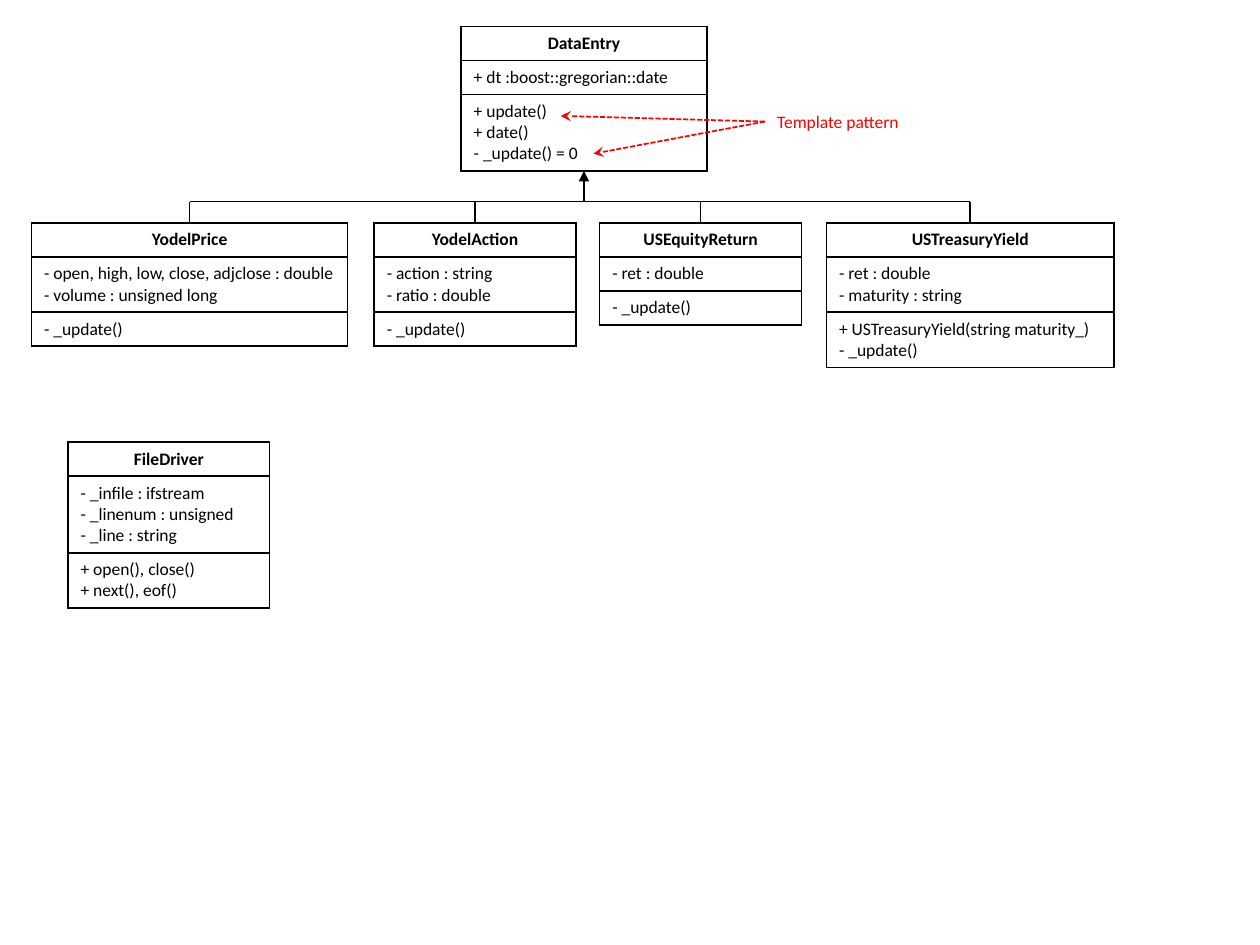
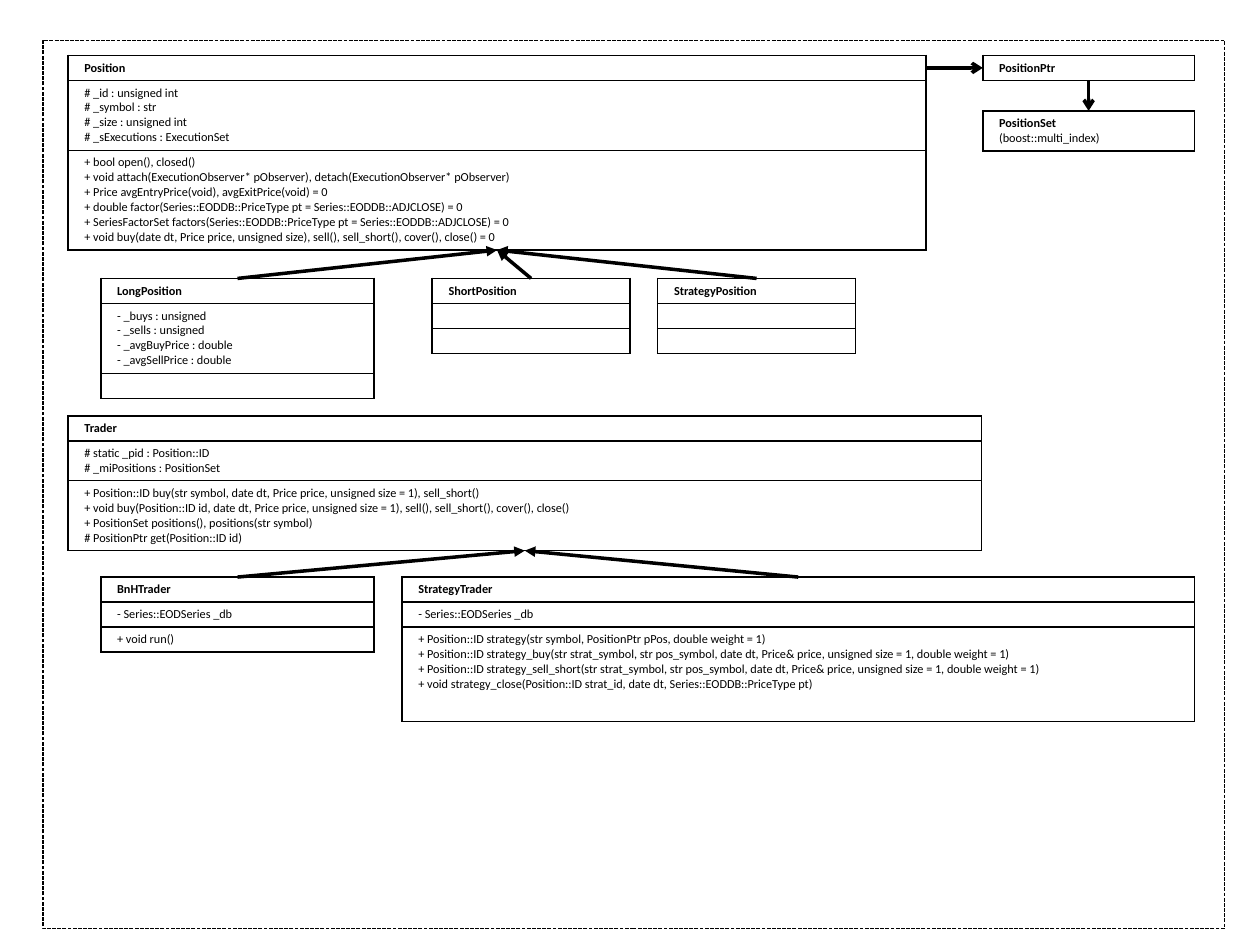
from dataclasses import dataclass

from lxml.etree import SubElement
from pptx import Presentation
from pptx.dml.color import RGBColor
from pptx.enum.dml import MSO_LINE
from pptx.enum.shapes import MSO_CONNECTOR, MSO_SHAPE
from pptx.enum.text import MSO_AUTO_SIZE, PP_ALIGN
from pptx.oxml.ns import qn
from pptx.util import Inches, Pt


@dataclass(frozen=True)
class BoxStyle:
    """Type size, cell insets and heading alignment of a class box."""
    size: int
    inset_x: float
    inset_y: float
    heading: PP_ALIGN

    def row_height(self, line_count):
        """Return the height in inches of a row with this many lines."""
        return 2 * self.inset_y + max(line_count, 1) * self.size * 1.22 / 72


@dataclass(frozen=True)
class Theme:
    """Colours, font and line widths shared by the slides."""
    ink: RGBColor = RGBColor(0, 0, 0)
    paper: RGBColor = RGBColor(255, 255, 255)
    accent: RGBColor = RGBColor(255, 0, 0)
    font: str = "Calibri"
    thin: float = 0.75
    line: float = 1
    heavy: float = 2
    large: BoxStyle = BoxStyle(10, 0.1, 0.05, PP_ALIGN.CENTER)
    small: BoxStyle = BoxStyle(7, 0.13, 0.04, PP_ALIGN.LEFT)


THEME = Theme()


def format_font(font, size, color, bold=False):
    """Apply the theme font with a size, colour and weight."""
    font.name = THEME.font
    font.size = Pt(size)
    font.bold = bold
    font.color.rgb = color


def add_borders(cell):
    """Draw a thin line on the four sides of a cell."""
    properties = cell._tc.get_or_add_tcPr()
    for side in ("lnL", "lnR", "lnT", "lnB"):
        border = SubElement(properties, qn(f"a:{side}"), w=str(Pt(THEME.line)))
        fill = SubElement(border, qn("a:solidFill"))
        SubElement(fill, qn("a:srgbClr"), val=str(THEME.ink))


def fill_cell(cell, lines, style, is_heading, filled):
    """Write one compartment of a class box."""
    cell.margin_left = cell.margin_right = Inches(style.inset_x)
    cell.margin_top = cell.margin_bottom = Inches(style.inset_y)
    add_borders(cell)
    if filled:
        cell.fill.solid()
        cell.fill.fore_color.rgb = THEME.paper
    else:
        cell.fill.background()
    cell.text_frame.text = "\n".join(lines)
    for index, paragraph in enumerate(cell.text_frame.paragraphs):
        paragraph.alignment = style.heading if is_heading else PP_ALIGN.LEFT
        for run in paragraph.runs:
            format_font(run.font, style.size, THEME.ink, is_heading and index == 0)
        if not paragraph.runs:
            SubElement(paragraph._p, qn("a:endParaRPr"), sz=str(style.size * 100))


def add_class_box(slide, style, left, top, width, *compartments, filled=False, last_height=0):
    """Add a class as a one-column table and return its frame."""
    heights = [style.row_height(len(lines)) for lines in compartments]
    heights[-1] = max(heights[-1], last_height)
    frame = slide.shapes.add_table(len(heights), 1, Inches(left), Inches(top),
                                   Inches(width), Inches(sum(heights)))
    table = frame.table
    table.first_row = table.horz_banding = False
    for index, (lines, height) in enumerate(zip(compartments, heights)):
        table.rows[index].height = Inches(height)
        fill_cell(table.cell(index, 0), lines, style, index == 0, filled)
    return frame


def top_center(frame):
    """Return the middle of the top side."""
    return frame.left + frame.width // 2, frame.top


def bottom_center(frame):
    """Return the middle of the bottom side."""
    return frame.left + frame.width // 2, frame.top + frame.height


def add_line(slide, start, end, width=THEME.line, color=THEME.ink, dash=None, arrow=None):
    """Add a straight line with an optional arrowhead at its end."""
    connector = slide.shapes.add_connector(MSO_CONNECTOR.STRAIGHT, *start, *end)
    connector.line.width = Pt(width)
    connector.line.color.rgb = color
    if dash:
        connector.line.dash_style = dash
    properties = connector.element.spPr
    if arrow:
        SubElement(properties.find(qn("a:ln")), qn("a:tailEnd"), type=arrow)
    SubElement(properties, qn("a:effectLst"))
    return connector


def add_inheritance_tree(slide, parent, children, bus_top):
    """Join children to their parent through a horizontal bus."""
    for child in children:
        x, y = top_center(child)
        add_line(slide, (x, y), (x, bus_top))
    add_line(slide, (top_center(children[0])[0], bus_top),
             (top_center(children[-1])[0], bus_top))
    x, y = bottom_center(parent)
    add_line(slide, (x, bus_top), (x, y), arrow="triangle")


def add_inheritance_arrows(slide, parent, children):
    """Point a heavy arrow from each child to its parent."""
    for child in children:
        add_line(slide, top_center(child), bottom_center(parent),
                 THEME.heavy, arrow="triangle")


def add_pattern_note(slide, left, top, targets):
    """Add the red note with dashed arrows to the methods it concerns."""
    note = slide.shapes.add_shape(MSO_SHAPE.RECTANGLE, Inches(left), Inches(top),
                                  Inches(1.2), Inches(0.27))
    note.shadow.inherit = False
    note.fill.solid()
    note.fill.fore_color.rgb = THEME.paper
    note.line.fill.background()
    text_frame = note.text_frame
    text_frame.text = "Template pattern"
    text_frame.word_wrap = False
    text_frame.auto_size = MSO_AUTO_SIZE.SHAPE_TO_FIT_TEXT
    paragraph = text_frame.paragraphs[0]
    paragraph.alignment = PP_ALIGN.LEFT
    format_font(paragraph.runs[0].font, THEME.large.size, THEME.accent)
    for x, y in targets:
        arrow = add_line(slide, (note.left, note.top), (Inches(x), Inches(y)),
                         color=THEME.accent, dash=MSO_LINE.SQUARE_DOT, arrow="stealth")
        arrow.begin_connect(note, 1)


def add_frame(slide, left, top, width, height):
    """Add the dashed outline around the diagram."""
    frame = slide.shapes.add_shape(MSO_SHAPE.RECTANGLE, Inches(left), Inches(top),
                                   Inches(width), Inches(height))
    frame.shadow.inherit = False
    frame.fill.background()
    frame.line.color.rgb = THEME.ink
    frame.line.width = Pt(THEME.thin)
    frame.line.dash_style = MSO_LINE.SQUARE_DOT


def build_data_slide(slide):
    """Draw the data entry hierarchy and the file driver."""
    style, children_top = THEME.large, 1.77
    entry = add_class_box(
        slide, style, 3.66, 0.21, 1.95, ["DataEntry"],
        ["+ dt :boost::gregorian::date"],
        ["+ update()", "+ date()", "- _update() = 0"])
    children = [
        add_class_box(slide, style, left, children_top, width, [name], fields, methods,
                      filled=filled)
        for left, width, name, fields, methods, filled in (
            (0.25, 2.51, "YodelPrice",
             ["- open, high, low, close, adjclose : double", "- volume : unsigned long"],
             ["- _update()"], True),
            (2.97, 1.6, "YodelAction", ["- action : string", "- ratio : double"],
             ["- _update()"], False),
            (4.76, 1.6, "USEquityReturn", ["- ret : double"], ["- _update()"], False),
            (6.56, 2.28, "USTreasuryYield", ["- ret : double", "- maturity : string"],
             ["+ USTreasuryYield(string maturity_)", "- _update()"], True),
        )]
    add_inheritance_tree(slide, entry, children, Inches(1.6))
    add_class_box(
        slide, style, 0.54, 3.51, 1.6, ["FileDriver"],
        ["- _infile : ifstream", "- _linenum : unsigned", "- _line : string"],
        ["+ open(), close()", "+ next(), eof()"])
    add_pattern_note(slide, 6.07, 0.83, [(4.45, 0.92), (4.71, 1.22)])


def add_position_classes(slide, left, top):
    """Draw the position hierarchy with its pointer and set."""
    style = THEME.small
    position = add_class_box(
        slide, style, left, top, 6.81, ["Position"],
        ["# _id : unsigned int", "# _symbol : str", "# _size : unsigned int",
         "# _sExecutions : ExecutionSet"],
        ["+ bool open(), closed()",
         "+ void attach(ExecutionObserver* pObserver), detach(ExecutionObserver* pObserver)",
         "+ Price avgEntryPrice(void), avgExitPrice(void) = 0",
         "+ double factor(Series::EODDB::PriceType pt = Series::EODDB::ADJCLOSE) = 0",
         "+ SeriesFactorSet factors(Series::EODDB::PriceType pt = Series::EODDB::ADJCLOSE) = 0",
         "+ void buy(date dt, Price price, unsigned size), sell(), sell_short(), cover(), "
         "close() = 0"])
    children_top = top + 1.77
    children = [
        add_class_box(slide, style, left + 0.26, children_top, 2.17, ["LongPosition"],
                      ["- _buys : unsigned", "- _sells : unsigned",
                       "- _avgBuyPrice : double", "- _avgSellPrice : double"], []),
        add_class_box(slide, style, left + 2.89, children_top, 1.57, ["ShortPosition"], [], []),
        add_class_box(slide, style, left + 4.68, children_top, 1.57, ["StrategyPosition"], [], []),
    ]
    add_inheritance_arrows(slide, position, children)
    pointer = add_class_box(slide, style, left + 7.26, top, 1.68, ["PositionPtr"])
    position_set = add_class_box(slide, style, left + 7.26, top + 0.44, 1.68,
                                 ["PositionSet", "(boost::multi_index)"])
    middle = pointer.top + pointer.height // 2
    add_line(slide, (position.left + position.width, middle), (pointer.left, middle),
             THEME.heavy, arrow="arrow")
    add_line(slide, bottom_center(pointer), top_center(position_set),
             THEME.heavy, arrow="arrow")


def add_trader_classes(slide, left, top):
    """Draw the trader hierarchy."""
    style = THEME.small
    trader = add_class_box(
        slide, style, left, top, 7.25, ["Trader"],
        ["# static _pid : Position::ID", "# _miPositions : PositionSet"],
        ["+ Position::ID buy(str symbol, date dt, Price price, unsigned size = 1), sell_short()",
         "+ void buy(Position::ID id, date dt, Price price, unsigned size = 1), sell(), "
         "sell_short(), cover(), close()",
         "+ PositionSet positions(), positions(str symbol)",
         "# PositionPtr get(Position::ID id)"])
    children_top = top + 1.28
    database = ["- Series::EODSeries _db"]
    children = [
        add_class_box(slide, style, left + 0.26, children_top, 2.17, ["BnHTrader"],
                      database, ["+ void run()"]),
        add_class_box(
            slide, style, left + 2.65, children_top, 6.29, ["StrategyTrader"], database,
            ["+ Position::ID strategy(str symbol, PositionPtr pPos, double weight = 1)",
             "+ Position::ID strategy_buy(str strat_symbol, str pos_symbol, date dt, "
             "Price& price, unsigned size = 1, double weight = 1)",
             "+ Position::ID strategy_sell_short(str strat_symbol, str pos_symbol, date dt, "
             "Price& price, unsigned size = 1, double weight = 1)",
             "+ void strategy_close(Position::ID strat_id, date dt, "
             "Series::EODDB::PriceType pt)"],
            last_height=0.75),
    ]
    add_inheritance_arrows(slide, trader, children)


def build_trading_slide(slide):
    """Draw the position and trader classes inside a dashed frame."""
    add_frame(slide, 0.34, 0.32, 9.38, 7.05)
    add_position_classes(slide, 0.54, 0.44)
    add_trader_classes(slide, 0.54, 3.3)


def main():
    """Build both class diagrams and save the presentation."""
    presentation = Presentation()
    presentation.slide_width = Inches(10)
    presentation.slide_height = Inches(7.5)
    for build_slide in (build_data_slide, build_trading_slide):
        build_slide(presentation.slides.add_slide(presentation.slide_layouts[6]))
    presentation.save("out.pptx")


if __name__ == "__main__":
    main()
